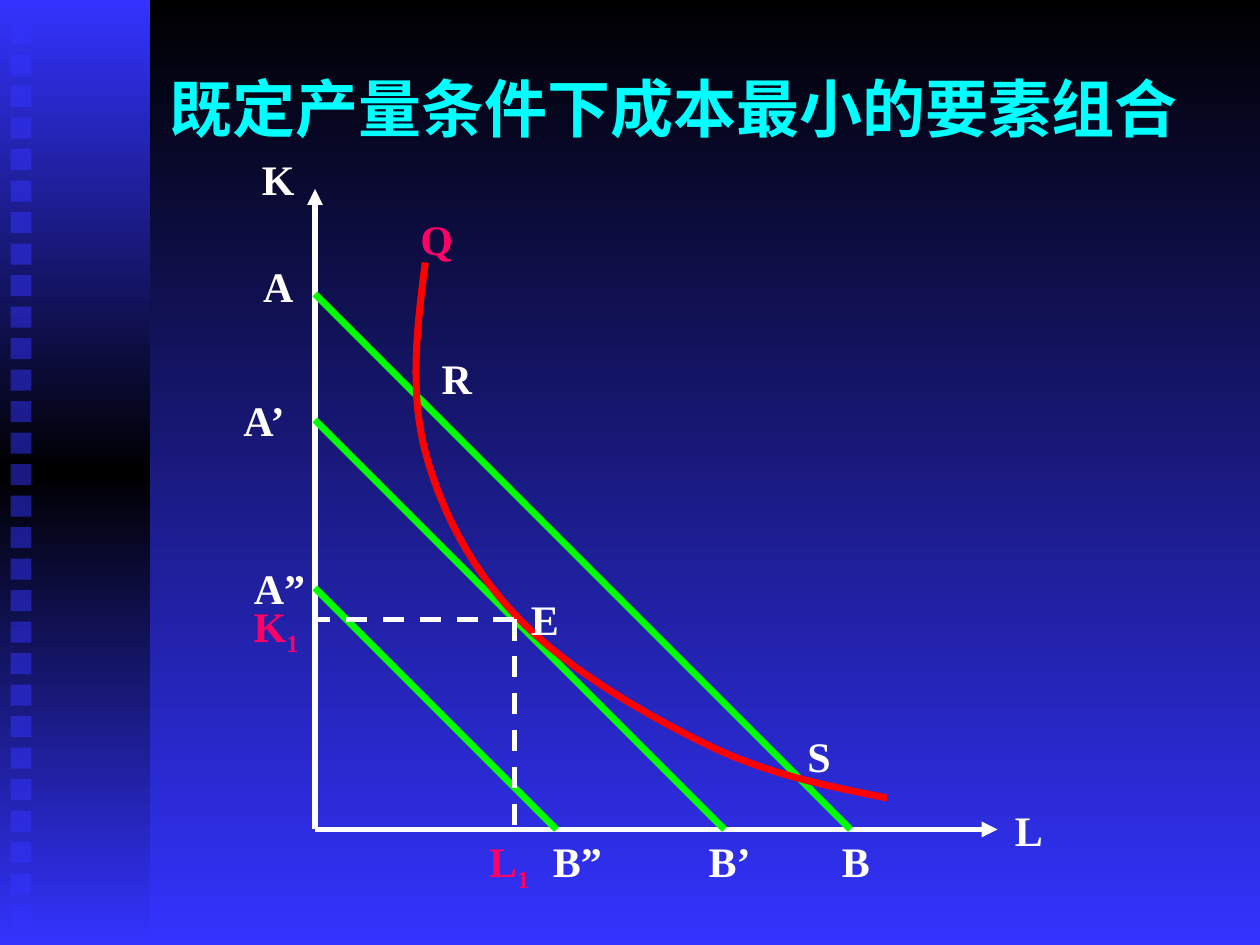
from copy import deepcopy
from dataclasses import dataclass

from lxml import etree
from pptx import Presentation
from pptx.dml.color import RGBColor
from pptx.enum import dml, shapes, text
from pptx.oxml.ns import qn
from pptx.util import Pt

PX = 7620  # EMU per px, 120 px to the inch


@dataclass(frozen=True)
class Theme:
    font: str = "Times New Roman"
    head: int = 36
    body: int = 24
    axis: int = 3
    curve: int = 4
    black: str = "000000"
    blue: str = "3333FF"
    cyan: str = "00FFFF"
    white: str = "FFFFFF"
    green: str = "00FF00"
    red: str = "FF0000"
    pink: str = "FF0066"


T = Theme()
LEFT, MID = text.PP_ALIGN.LEFT, text.PP_ALIGN.CENTER


def rgb(hue):
    return RGBColor.from_string(hue)


def emu(*nums):
    return [n * PX for n in nums]


def add(node, tag, **attrs):
    return etree.SubElement(node, qn(tag), attrs)


def grade(fill, node, hues):
    """Fill with evenly spaced colours from top to bottom."""
    fill.gradient()
    fill.gradient_angle = 270
    stops = node.xpath(".//a:gsLst")[0]
    for _ in hues[2:]:
        stops.append(deepcopy(stops[-1]))
    for i, (stop, hue) in enumerate(zip(fill.gradient_stops, hues)):
        stop.color.rgb = rgb(hue)
        stop.position = i / (len(hues) - 1)


def block(group, x, y, w, h):
    rect = group.shapes.add_shape(shapes.MSO_SHAPE.RECTANGLE, *emu(x, y, w, h))
    rect.shadow.inherit = False
    rect.line.fill.background()
    return rect


def label(group, words, box, hue=T.white, size=T.body, align=MID, sub=""):
    """Place bold text, with an optional subscript after it."""
    shape = group.shapes.add_textbox(*emu(*box))
    frame = shape.text_frame
    frame.word_wrap = True
    frame.auto_size = text.MSO_AUTO_SIZE.SHAPE_TO_FIT_TEXT
    para = frame.paragraphs[0]
    para.alignment = align
    look = {"name": T.font, "size": Pt(size), "bold": True}
    for part, base in ((words, 0), (sub, -25000)):
        if not part:
            continue
        run = para.add_run()
        run.text = part
        for key, value in look.items():
            setattr(run.font, key, value)
        run.font.color.rgb = rgb(hue)
        if base:
            run.font._element.set("baseline", str(base))


def stroke(group, start, end, hue, width, dash=False, arrow=False):
    link = group.shapes.add_connector(
        shapes.MSO_CONNECTOR.STRAIGHT, *emu(*start, *end))
    link.line.color.rgb = rgb(hue)
    link.line.width = Pt(width)
    if dash:
        link.line.dash_style = dml.MSO_LINE.DASH
    if arrow:
        add(link.line._get_or_add_ln(), "a:tailEnd", type="triangle")
    add(link._element.spPr, "a:effectLst")


def bend(group, points, hue, width):
    """Draw a chain of cubic curves: a start, then three points for each."""
    pen = group.shapes.build_freeform(*points[0], scale=PX)
    pen.add_line_segments(points[1:], close=False)
    shape = pen.convert_to_shape()
    shape.shadow.inherit = False
    shape.fill.background()
    shape.line.color.rgb = rgb(hue)
    shape.line.width = Pt(width)
    steps = shape._element.xpath(".//a:lnTo")
    for i in range(0, len(steps), 3):
        cubic = etree.Element(qn("a:cubicBezTo"))
        steps[i].addprevious(cubic)
        for step in steps[i:i + 3]:
            cubic.append(step[0])
            step.getparent().remove(step)


def side(slide, x, y, w, h):
    """Gradient band with a column of translucent squares."""
    group = slide.shapes.add_group_shape()
    band = block(group, x, y, w, h)
    grade(band.fill, band._element, (T.blue, T.black, T.blue))
    for i in range(29):
        tile = block(group, x + 10, y + 22 + 30 * i, 20, 20)
        tile.fill.solid()
        tile.fill.fore_color.rgb = rgb(T.blue)
        add(tile._element.xpath(".//a:srgbClr")[0], "a:alpha", val="50000")


def plot(slide, x, y, w, h):
    """Isoquant and isocost lines; the box is spanned by the two axes."""
    group = slide.shapes.add_group_shape()

    def at(dx, dy):
        return x + dx, y + dy

    zero = at(0, h)
    for tip in (at(w, h), at(0, 0)):
        stroke(group, zero, tip, T.white, T.axis, arrow=True)
    for cost in (510, 390, 230):
        stroke(group, at(0, h - cost), at(cost, h), T.green, T.curve)

    knots = [(105, 70), (97, 132), (90, 193), (105, 250), (120, 307),
             (150, 364), (195, 410), (240, 457), (317, 502), (375, 530),
             (433, 558), (490, 569), (545, 580)]
    bend(group, [at(*knot) for knot in knots], T.red, T.curve)

    best = (190, 410)
    for foot in ((best[0], h), (0, best[1])):
        stroke(group, at(*best), at(*foot), T.white, T.axis, dash=True)

    pink = {"hue": T.pink}
    one = {"hue": T.pink, "sub": "1"}
    flush = {"align": LEFT}
    for words, dx, dy, wide, form in (
        ("E", 129, 379, 180, {}),
        ("L", 620, h - 30, 120, {}),
        ("K", -120, -40, 170, {}),
        ("L", 130, h, 110, one),
        ("K", -112, 386, 150, one),
        ("B”", 190, h, 120, {}),
        ("A", -100, 62, 130, {}),
        ("R", 80, 150, 110, {}),
        ("S", 420, 510, 120, {}),
        ("Q", 56, 17, 120, pink),
        ("A’", -80, 190, 70, flush),
        ("A”", -70, 350, 100, flush),
        ("B’", 350, h, 90, {}),
        ("B", 490, h, 80, flush),
    ):
        label(group, words, (*at(dx, dy), wide, 60), **form)


def main():
    deck = Presentation()
    deck.slide_width, deck.slide_height = emu(1200, 900)
    slide = deck.slides.add_slide(deck.slide_layouts[6])
    grade(slide.background.fill, slide._element, (T.black, T.blue))
    side(slide, 0, 0, 143, 900)
    label(slide, "既定产量条件下成本最小的要素组合", (150, 60, 1000, 84),
          T.cyan, T.head, LEFT)
    plot(slide, 300, 180, 650, 610)
    deck.save("out.pptx")


if __name__ == "__main__":
    main()
